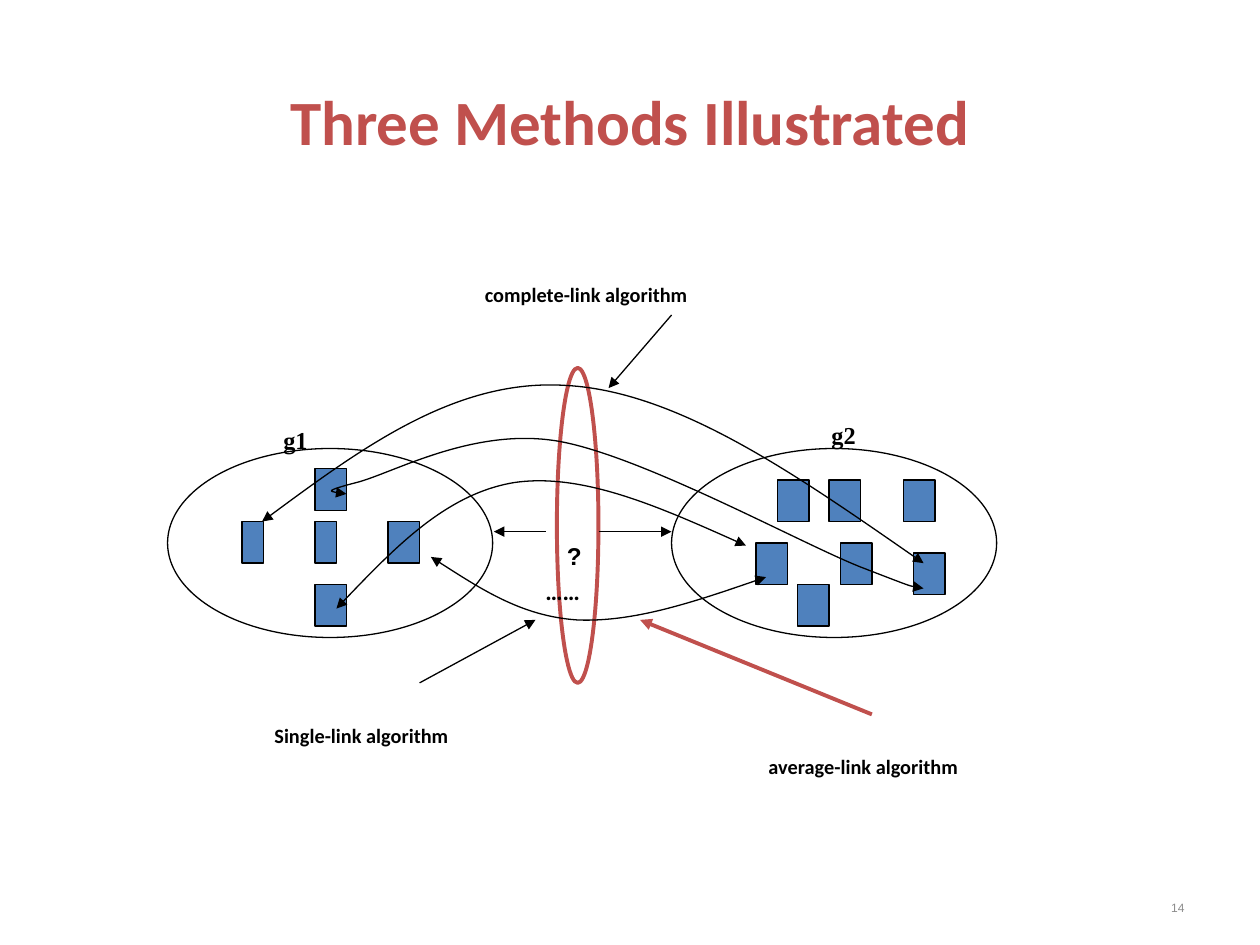
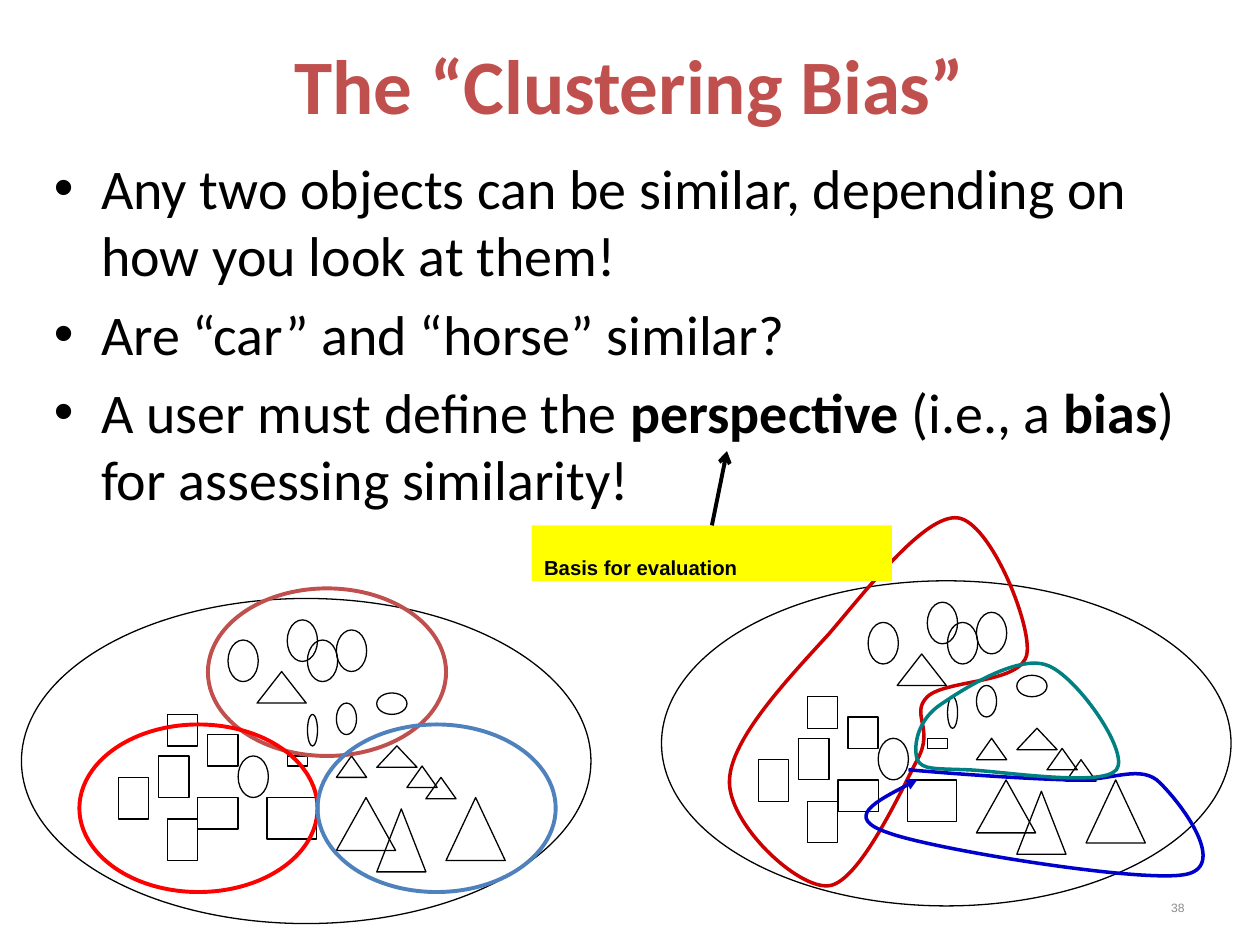
from dataclasses import dataclass

from lxml import etree
from pptx import Presentation, util as u
from pptx.dml.color import RGBColor
from pptx.enum import shapes, text
from pptx.oxml.ns import qn


@dataclass(frozen=True)
class Theme:
    red: str = "C0504D"
    blue: str = "4F81BD"
    ink: str = "000000"
    grey: str = "8C8C8C"
    yellow: str = "FFFF00"
    body_font: str = "Calibri"
    note_font: str = "Arial"
    group_font: str = "Times New Roman"
    body: int = 32
    group: int = 24
    label: int = 20
    number: int = 12
    thin: float = 0.75
    curve: float = 2
    thick: float = 2.25
    lowered: int = -25000


T = Theme()
GRID = 2.54  # one layout unit in cm; all positions below are in layout units
RECT, OVAL, TRI = (shapes.MSO_SHAPE.RECTANGLE, shapes.MSO_SHAPE.OVAL,
                   shapes.MSO_SHAPE.ISOSCELES_TRIANGLE)


def stroke(sp, color=T.ink, width=T.thin, head=None, tail=None):
    """Set the line and its arrowheads, and drop the shadow."""
    sp.line.color.rgb = RGBColor.from_string(color)
    sp.line.width = u.Pt(width)
    sp_pr = sp.element.spPr
    ln = sp_pr.find(qn("a:ln"))
    for tag, kind in (("a:headEnd", head), ("a:tailEnd", tail)):
        if kind:
            etree.SubElement(ln, qn(tag), type=kind)
    etree.SubElement(sp_pr, qn("a:effectLst"))


def write(s, box, lines, size, font, color=T.ink, bold=True, lowered=True,
          align=text.PP_ALIGN.LEFT, anchor=text.MSO_ANCHOR.TOP):
    """Add a text box; each line is a list of (text, bold) runs or a string."""
    tb = s.shapes.add_textbox(*[u.Cm(v * GRID) for v in box])
    tf = tb.text_frame
    tf.word_wrap = True
    tf.vertical_anchor = anchor
    for i, line in enumerate(lines):
        p = tf.add_paragraph() if i else tf.paragraphs[0]
        p.alignment = align
        for words, strong in [(line, bold)] if isinstance(line, str) else line:
            r = p.add_run()
            r.text = words
            r.font.size = u.Pt(size)
            r.font.name = font
            r.font.bold = strong
            r.font.color.rgb = RGBColor.from_string(color)
            if lowered:
                r.font._element.set("baseline", str(T.lowered))
    return tb


# Slide 1: two groups of objects and the links between them
squares = [(2.5, 4.64, 0.25), (2.5, 3.72, 0.25), (1.92, 4.14, 0.17),
           (3.08, 4.14, 0.25), (2.5, 4.14, 0.17), (6.17, 3.81, 0.25),
           (7.17, 3.81, 0.25), (6.58, 3.81, 0.25), (6, 4.31, 0.25),
           (6.33, 4.64, 0.25), (7.25, 4.39, 0.25), (6.67, 4.31, 0.25)]
groups = [(x, 3.56, 2.58, 1.5) for x in (1.33, 5.33)]
link_shapes = [(RECT, (x, y, w, 0.33), T.ink, T.thin, T.blue) for x, y, w in squares]
link_shapes += [(OVAL, box, T.ink, T.thin, None) for box in groups]
link_shapes.append((OVAL, (4.42, 2.92, 0.33, 2.5), T.red, T.thick, None))

# Each curve: start point, then two control points and an end point per segment
links = [
    [(2.08, 4.14), (2.85, 3.57), (3.63, 3), (4.5, 3.06),
     (5.38, 3.11), (6.35, 3.79), (7.33, 4.47)],
    [(2.75, 3.92), (2.65, 3.91), (2.56, 3.9), (2.83, 3.83),
     (3.11, 3.76), (3.75, 3.39), (4.42, 3.5), (5.08, 3.61), (6.35, 4.31),
     (6.83, 4.5), (7.32, 4.69), (7.33, 4.68), (7.33, 4.67)],
    [(2.67, 4.83), (3.1, 4.38), (3.54, 3.92), (4.08, 3.83),
     (4.62, 3.75), (5.27, 4.04), (5.92, 4.33)],
    [(3.42, 4.42), (3.78, 4.65), (4.14, 4.89), (4.58, 4.92),
     (5.03, 4.94), (5.56, 4.76), (6.08, 4.58)],
]
link_curves = [(pts, T.ink, T.thin, "triangle", "triangle", False) for pts in links]
link_arrows = [
    ((4.33, 4.22, 3.92, 4.22), T.ink, T.thin),
    ((4.75, 4.22, 5.33, 4.22), T.ink, T.thin),
    ((5.33, 2.5, 4.83, 3.08), T.ink, T.thin),
    ((6.92, 5.67, 5.08, 4.92), T.red, T.thick),
    ((3.33, 5.42, 4.25, 4.92), T.ink, T.thin),
]
link_labels = [
    ((4.4, 4.02, 0.35, 0.5), "?", T.group, T.note_font),
    ((4.23, 4.3, 0.87, 0.5), "……", T.group, T.body_font),
    ((2.15, 3.1, 0.53, 0.5), "g1", T.group, T.group_font),
    ((6.5, 3.06, 0.53, 0.5), "g2", T.group, T.group_font),
    ((3.75, 2, 3.67, 0.51), "complete-link algorithm", T.label, T.body_font),
    ((6, 5.75, 3.52, 0.51), "average-link algorithm", T.label, T.body_font),
    ((2.08, 5.5, 3.24, 0.51), "Single-link algorithm", T.label, T.body_font),
]

# Slide 2: the same objects twice, clustered by shape and then by size
objects = {
    OVAL: [(0.17, 4.75, 4.52, 2.58), (1.81, 5.08, 0.24, 0.33), (1.89, 6, 0.24, 0.33),
           (2.67, 5.58, 0.16, 0.25), (2.44, 5.67, 0.08, 0.25), (2.28, 4.92, 0.24, 0.33),
           (2.44, 5.08, 0.24, 0.33), (2.67, 5, 0.24, 0.33), (2.99, 5.5, 0.24, 0.17)],
    RECT: [(0.94, 6.17, 0.24, 0.33), (1.26, 6, 0.24, 0.33), (1.33, 6.5, 0.24, 0.33),
           (1.33, 5.67, 0.24, 0.25), (1.65, 5.83, 0.24, 0.25), (1.57, 6.33, 0.32, 0.25),
           (2.12, 6.33, 0.39, 0.33), (2.28, 6, 0.16, 0.08)],
    TRI: [(2.67, 6, 0.24, 0.17), (2.67, 6.33, 0.47, 0.42), (2.99, 6.42, 0.39, 0.5),
          (2.99, 5.92, 0.32, 0.17), (2.04, 5.33, 0.39, 0.25), (3.23, 6.08, 0.24, 0.17),
          (3.38, 6.17, 0.24, 0.17), (3.54, 6.33, 0.47, 0.5)],
}
bias_shapes = [(kind, (x + dx, y + dy, w, h), T.ink, T.thin, None)
               for dx, dy in ((0, 0), (5.08, -0.14))
               for kind, boxes in objects.items() for x, y, w, h in boxes]
bias_shapes += [(OVAL, (x, y, 1.89, 1.33), color, T.thick, None) for x, y, color in
                ((1.65, 4.67, T.red), (0.63, 5.75, "FF0000"), (2.52, 5.75, T.blue))]
bias_curves = [
    ([(6.58, 5.03), (6.88, 4.68), (7.34, 4.08), (7.6, 4.11),
      (7.86, 4.14), (8.19, 4.96), (8.15, 5.19), (8.11, 5.43), (7.51, 5.39),
      (7.36, 5.53), (7.22, 5.67), (7.42, 5.78), (7.28, 6.03),
      (7.15, 6.28), (6.82, 7), (6.58, 7.03), (6.33, 7.06), (5.77, 6.53),
      (5.79, 6.19), (5.8, 5.86), (6.27, 5.37), (6.58, 5.03)],
     "CC0000", T.curve, None, None, True),
    ([(7.21, 6.11), (7.67, 6.15), (8.14, 6.18), (8.47, 6.19),
      (8.79, 6.21), (9.02, 6.07), (9.18, 6.19), (9.33, 6.32), (9.77, 6.87),
      (9.41, 6.94), (9.06, 7.01), (7.4, 6.74), (7.05, 6.61),
      (6.69, 6.49), (6.99, 6.34), (7.28, 6.19)],
     "0000CC", T.curve, None, "triangle", False),
    ([(7.44, 5.61), (7.61, 5.49), (8.07, 5.19), (8.31, 5.28),
      (8.54, 5.36), (8.97, 5.97), (8.86, 6.11), (8.75, 6.25), (7.94, 6.12),
      (7.68, 6.11), (7.42, 6.1), (7.32, 6.11), (7.28, 6.03),
      (7.25, 5.94), (7.27, 5.74), (7.44, 5.61)],
     "008080", T.curve, None, None, True),
]
bullets = [
    "Any two objects can be similar, depending on how you look at them!",
    "Are “car” and “horse” similar?",
    [("A user must define the ", False), ("perspective", True), (" (i.e., a ", False),
     ("bias", True), (") for assessing similarity!", False)],
]

prs = Presentation()
prs.slide_width, prs.slide_height = u.Cm(25.4), u.Cm(19.05)

pages = [
    ("Three Methods Illustrated", (0.75, 0.33, 8.5, 1.25), 36, "14",
     link_shapes, link_curves, link_arrows, link_labels),
    ("The “Clustering Bias”", (0, 0.08, 10, 1.17), 44, "38",
     bias_shapes, bias_curves, [], []),
]
for title, title_box, title_size, number, outlines, curves, arrows, labels in pages:
    s = prs.slides.add_slide(prs.slide_layouts[6])
    write(s, title_box, [title], title_size, T.body_font, T.red, lowered=False,
          align=text.PP_ALIGN.CENTER, anchor=text.MSO_ANCHOR.MIDDLE)
    write(s, (7.17, 6.95, 2.33, 0.4), [number], T.number, T.note_font, T.grey, bold=False,
          align=text.PP_ALIGN.RIGHT, anchor=text.MSO_ANCHOR.MIDDLE)

    for kind, box, color, width, fill in outlines:
        sp = s.shapes.add_shape(kind, *[u.Cm(v * GRID) for v in box])
        if fill:
            sp.fill.solid()
            sp.fill.fore_color.rgb = RGBColor.from_string(fill)
        else:
            sp.fill.background()
        stroke(sp, color, width)

    for pts, color, width, head, tail, closed in curves:
        start, *rest = [(u.Cm(x * GRID), u.Cm(y * GRID)) for x, y in pts]
        ff = s.shapes.build_freeform(*start)
        ff.add_line_segments(rest, close=False)
        sp = ff.convert_to_shape()
        sp.fill.background()
        # Every three line points become one Bézier segment
        outline = sp.element.find(".//" + qn("a:path"))
        steps = outline.findall(qn("a:lnTo"))
        for i in range(0, len(steps), 3):
            bezier = etree.SubElement(outline, qn("a:cubicBezTo"))
            for step in steps[i:i + 3]:
                bezier.append(step[0])
                outline.remove(step)
        if closed:
            etree.SubElement(outline, qn("a:close"))
        stroke(sp, color, width, head, tail)

    for ends, color, width in arrows:
        cn = s.shapes.add_connector(shapes.MSO_CONNECTOR.STRAIGHT,
                                    *[u.Cm(v * GRID) for v in ends])
        stroke(cn, color, width, tail="triangle")

    for box, label, size, font in labels:
        write(s, box, [label], size, font)

# Body text and the note that points at "perspective", on the last slide
body = write(s, (0.33, 1.17, 9.33, 4.5), bullets, T.body, T.body_font,
             bold=False, lowered=False)
for p in body.text_frame.paragraphs:
    p.space_before = u.Pt(0.2 * T.body)
    p_pr = p._p.get_or_add_pPr()
    p_pr.set("marL", str(u.Cm(0.95)))
    p_pr.set("indent", str(-u.Cm(0.95)))
    etree.SubElement(p_pr, qn("a:buFont"), typeface=T.note_font)
    etree.SubElement(p_pr, qn("a:buChar"), char="•")

note = write(s, (4.22, 4.17, 2.86, 0.44), ["Basis for evaluation"], T.label, T.note_font)
note.fill.solid()
note.fill.fore_color.rgb = RGBColor.from_string(T.yellow)
cn = s.shapes.add_connector(shapes.MSO_CONNECTOR.STRAIGHT,
                            *[u.Cm(v * GRID) for v in (5.65, 4.17, 5.77, 3.58)])
cn.begin_connect(note, 0)
stroke(cn, width=T.thick, tail="arrow")

prs.save("out.pptx")
